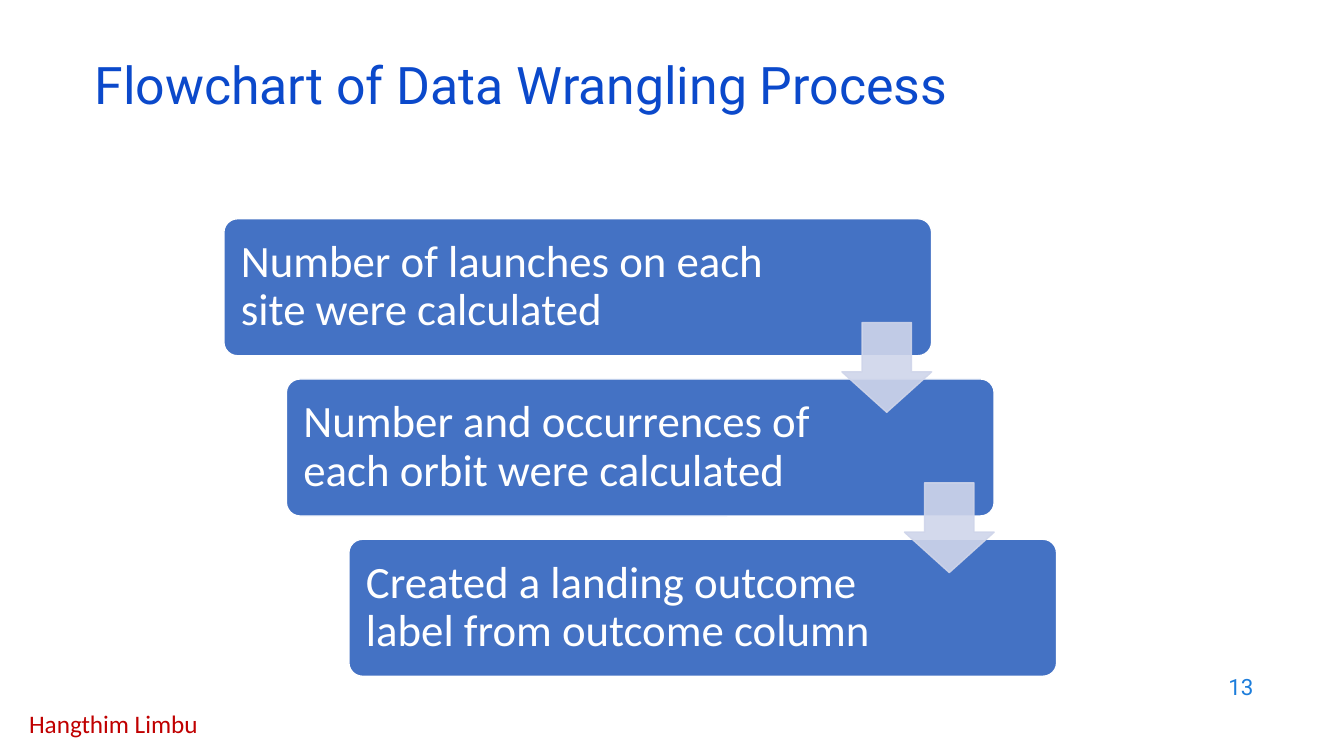
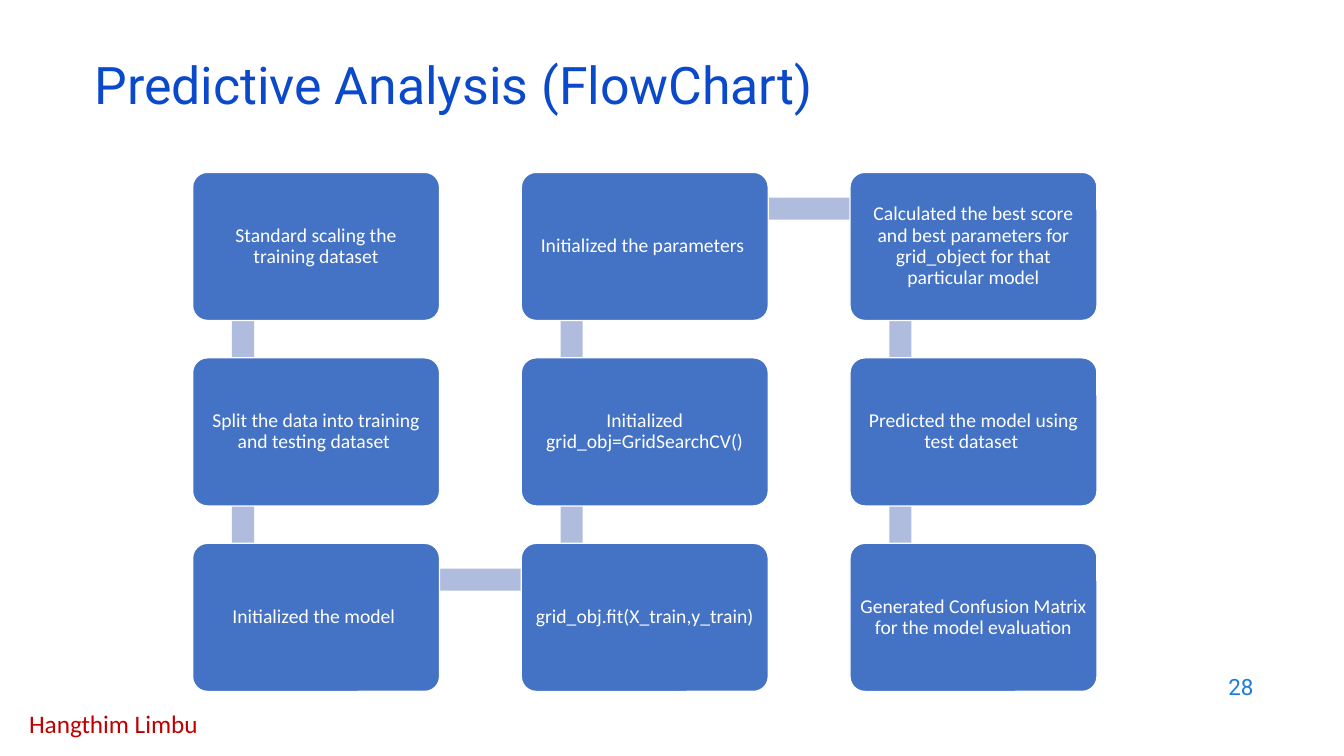
from itertools import pairwise

from pptx import Presentation
from pptx.dml.color import RGBColor
from pptx.enum.shapes import MSO_SHAPE as SHAPE
from pptx.enum.text import MSO_ANCHOR as ANCHOR, PP_ALIGN as ALIGN
from pptx.oxml.ns import qn
from pptx.util import Inches, Pt

COLORS = {
    "title": "0B49CB",
    "number": "1C7DDB",
    "author": "C00000",
    "box": "4472C4",
    "white": "FFFFFF",
    "arrow": "CFD5EA",
    "link": "B0BCDE",
}
AUTHOR = "Hangthim Limbu"

WRANGLING_STEPS = [
    "Number of launches on each site were calculated",
    "Number and occurrences of each orbit were calculated",
    "Created a landing outcome label from outcome column",
]
ANALYSIS_STEPS = [
    "Standard scaling the training dataset",
    "Split the data into training and testing dataset ",
    "Initialized the model ",
    "grid_obj.fit(X_train,y_train)",
    "Initialized grid_obj=GridSearchCV()",
    "Initialized the parameters ",
    "Calculated the best score and best parameters for grid_object for that particular model",
    "Predicted the model using test dataset ",
    "Generated Confusion Matrix for the model evaluation",
]


def rgb(name):
    return RGBColor.from_string(COLORS[name])


# Text
def write(frame, text, *, size, color, font="Calibri", align=ALIGN.LEFT,
          anchor=ANCHOR.MIDDLE, spacing=1.0, wrap=True, insets=(0.1, 0.05, 0.1, 0.05)):
    frame.word_wrap = wrap
    frame.vertical_anchor = anchor
    (frame.margin_left, frame.margin_top,
     frame.margin_right, frame.margin_bottom) = map(Inches, insets)
    paragraph = frame.paragraphs[0]
    paragraph.text = text
    paragraph.alignment = align
    paragraph.line_spacing = spacing
    paragraph.font.size = Pt(size)
    paragraph.font.name = font
    paragraph.font.color.rgb = rgb(color)


def add_label(slide, place, text, **style):
    label = slide.shapes.add_textbox(*map(Inches, place))
    write(label.text_frame, text, **style)


# Shapes
def add_block(slide, preset, place, fill, line=None, adjustments=(), opacity=None):
    block = slide.shapes.add_shape(preset, *map(Inches, place))
    block.shadow.inherit = False
    block.fill.solid()
    block.fill.fore_color.rgb = rgb(fill)
    if line:
        block.line.color.rgb = rgb(line)
        block.line.width = Pt(1)
    else:
        block.line.fill.background()
    for index, value in enumerate(adjustments):
        block.adjustments[index] = value
    if opacity is not None:
        for color in block._element.spPr.iter(qn("a:srgbClr")):
            alpha = color.makeelement(qn("a:alpha"), {"val": str(opacity * 1000)})
            color.append(alpha)
    return block


def add_step(slide, place, text, **style):
    step = add_block(slide, SHAPE.ROUNDED_RECTANGLE, place, "box", "white", [0.1])
    write(step.text_frame, text, color="white", spacing=0.9, **style)


def add_link(slide, start, end, thickness=0.22):
    """Draw a bar between two points on one row or column."""
    (x1, y1), (x2, y2) = start, end
    left, top = min(x1, x2), min(y1, y2)
    if x1 == x2:
        place = (left - thickness / 2, top, thickness, abs(y2 - y1))
    else:
        place = (left, top - thickness / 2, abs(x2 - x1), thickness)
    add_block(slide, SHAPE.RECTANGLE, place, "link")


# Shared title, number and author
def add_slide(deck, title, number):
    slide = deck.slides.add_slide(deck.slide_layouts[6])
    add_label(slide, (0.19, 6.98, 1.9, 0.4), AUTHOR, size=18, color="author",
              anchor=ANCHOR.TOP, wrap=False)
    add_label(slide, (9.53, 6.59, 3, 0.44), str(number), size=16, color="number",
              font="Roboto", align=ALIGN.RIGHT)
    add_label(slide, (0.84, 0.59, 11.5, 0.6), title, size=37, color="title",
              font="Roboto", spacing=0.8)
    return slide


# Staircase of steps, with an arrow over each gap
def add_staircase(slide, steps):
    left, top, width, height = 2.22, 2.17, 7.02, 1.36
    shift, drop, arrow = 0.62, 1.59, 0.89
    for index, text in enumerate(steps):
        add_step(slide, (left + index * shift, top + index * drop, width, height), text,
                 size=32, insets=(0.13, 0.13, 1.55, 0.13))
    for index in range(len(steps) - 1):
        place = (left + width - arrow + index * shift, top + 1.03 + index * drop,
                 arrow, arrow)
        add_block(slide, SHAPE.DOWN_ARROW, place, "arrow", "arrow",
                  [0.55, 0.45], opacity=90)


# Steps that run down one column and up the next
def add_snake(slide, steps, rows=3):
    left, top, width, height = 1.91, 1.71, 2.45, 1.47
    column_pitch, row_pitch = 3.26, 1.84
    corners = []
    for index in range(len(steps)):
        column, row = divmod(index, rows)
        if column % 2:
            row = rows - 1 - row
        corners.append((left + column * column_pitch, top + row * row_pitch))
    joints = [(x + 0.5, y + 0.36) for x, y in corners]
    for start, end in pairwise(joints):
        add_link(slide, start, end)
    for (x, y), text in zip(corners, steps):
        add_step(slide, (x, y, width, height), text, size=14, align=ALIGN.CENTER,
                 insets=(0.06,) * 4)


def main():
    deck = Presentation()
    deck.slide_width, deck.slide_height = Inches(13.33), Inches(7.5)
    wrangling = add_slide(deck, "Flowchart of Data Wrangling Process", 13)
    add_staircase(wrangling, WRANGLING_STEPS)
    analysis = add_slide(deck, "Predictive Analysis (FlowChart)", 28)
    add_snake(analysis, ANALYSIS_STEPS)
    deck.save("out.pptx")


if __name__ == "__main__":
    main()
